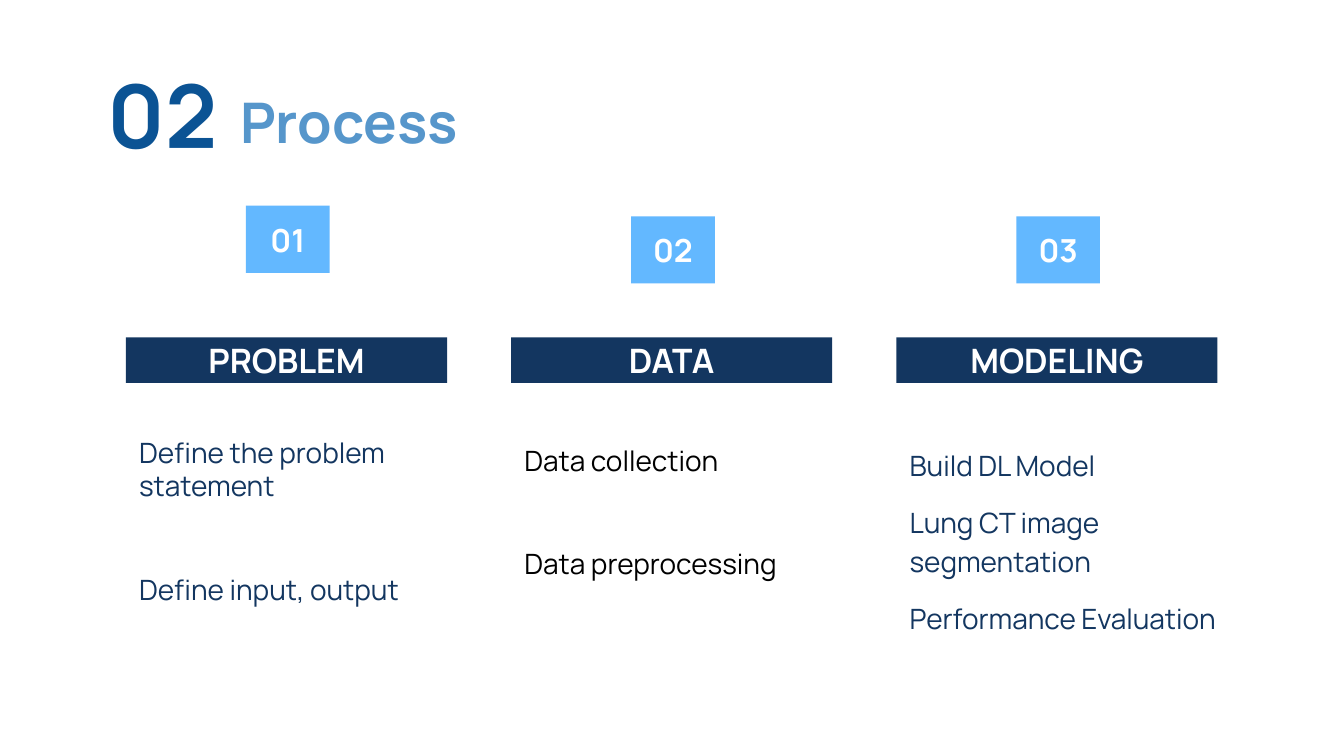
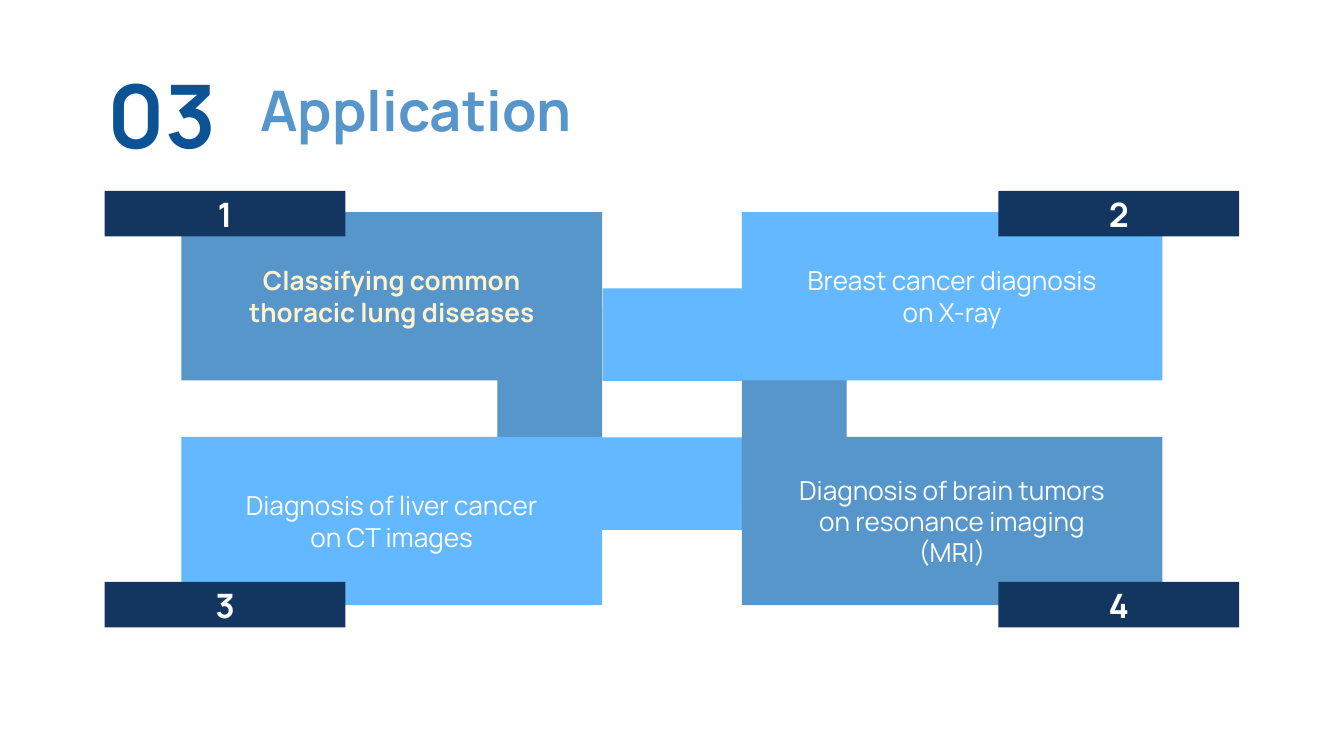
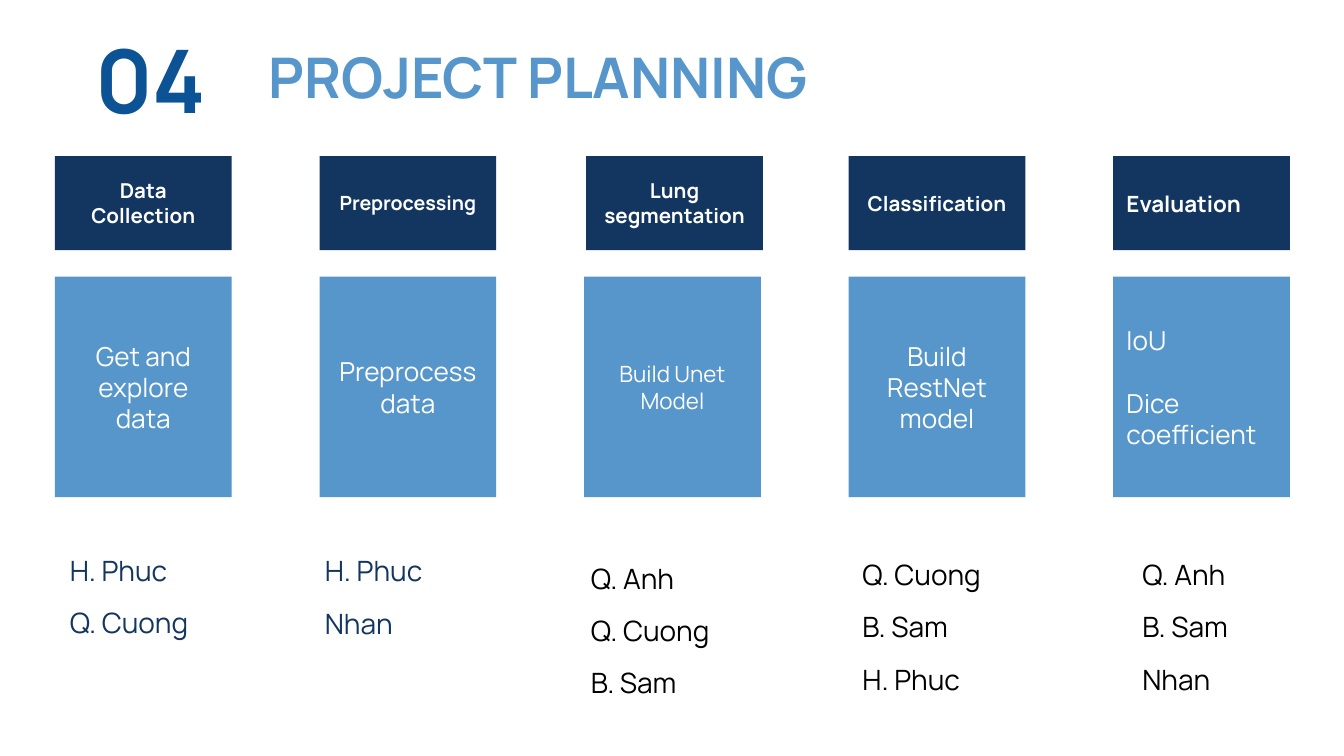
from dataclasses import dataclass

from pptx import Presentation
from pptx.dml.color import RGBColor
from pptx.enum.shapes import MSO_SHAPE
from pptx.enum.text import MSO_ANCHOR, MSO_AUTO_SIZE, PP_ALIGN
from pptx.util import Cm, Pt


@dataclass(frozen=True)
class Theme:
    """Colours, type sizes and font shared by all slides."""

    font: str = "Manrope"
    navy: str = "133660"
    royal: str = "0B5394"
    steel: str = "5696CB"
    sky: str = "63B8FF"
    cream: str = "FFF2CC"
    white: str = "FFFFFF"
    black: str = "000000"
    section_size: float = 47
    title_size: float = 30
    band_size: float = 18
    step_size: float = 17
    body_size: float = 15
    card_size: float = 14
    margin: float = 0.25


THEME = Theme()


@dataclass(frozen=True)
class Style:
    """Look of one piece of text."""

    size: float
    color: str
    bold: bool = False
    align: PP_ALIGN = PP_ALIGN.LEFT
    anchor: MSO_ANCHOR = MSO_ANCHOR.MIDDLE
    side: float = THEME.margin
    gap: float = 0
    leading: float = 1.0


SECTION = Style(THEME.section_size, THEME.royal, bold=True)
TITLE = Style(THEME.title_size, THEME.steel, bold=True)
BAND = Style(THEME.band_size, THEME.white, bold=True, align=PP_ALIGN.CENTER)
STEP = Style(THEME.step_size, THEME.white, bold=True, align=PP_ALIGN.CENTER)


def body_style(color, gap, leading=1.0):
    """Return the style of a top-anchored list."""
    return Style(THEME.body_size, color, anchor=MSO_ANCHOR.TOP, gap=gap, leading=leading)


def write(frame, lines, style):
    """Fill a text frame with one paragraph per line."""
    frame.word_wrap = True
    frame.auto_size = MSO_AUTO_SIZE.NONE
    frame.vertical_anchor = style.anchor
    frame.margin_left = frame.margin_right = Cm(style.side)
    frame.margin_top = frame.margin_bottom = Cm(THEME.margin)
    for index, line in enumerate(lines):
        paragraph = frame.add_paragraph() if index else frame.paragraphs[0]
        paragraph.alignment = style.align
        paragraph.line_spacing = style.leading
        paragraph.space_before = Pt(style.gap if index else 0)
        run = paragraph.add_run()
        run.text = line
        run.font.name = THEME.font
        run.font.size = Pt(style.size)
        run.font.bold = style.bold
        run.font.color.rgb = RGBColor.from_string(style.color)


def add_text(slide, box, lines, style):
    """Add a plain text box."""
    write(slide.shapes.add_textbox(*map(Cm, box)).text_frame, lines, style)


def add_block(slide, box, fill, lines=(), style=BAND):
    """Add a filled rectangle with optional text."""
    block = slide.shapes.add_shape(MSO_SHAPE.RECTANGLE, *map(Cm, box))
    block.shadow.inherit = False
    block.fill.solid()
    block.fill.fore_color.rgb = RGBColor.from_string(fill)
    block.line.fill.background()
    write(block.text_frame, lines, style)


def add_section(deck, number, heading, number_at, heading_box):
    """Add a slide with its section number and heading."""
    slide = deck.slides.add_slide(deck.slide_layouts[5])
    title = slide.shapes.title
    title.left, title.top, title.width, title.height = map(Cm, heading_box)
    write(title.text_frame, [heading], TITLE)
    add_text(slide, (*number_at, 2.79, 2.51), [number], SECTION)
    return slide


def build_process(deck):
    """Build the three-column process slide."""
    slide = add_section(deck, "02", "Process", (1.78, 0.89), (4.29, 1.5, 19.13, 1.57))
    phases = [
        ("PROBLEM", 3.89, 7.98, 6.07, body_style(THEME.navy, 37.5),
         ["Define the problem statement", "Define input, output"]),
        ("DATA", 4.09, 8.13, 6.07, body_style(THEME.black, 37.5),
         ["Data collection", "Data preprocessing"]),
        ("MODELING", 4.09, 8.13, 7.42, body_style(THEME.navy, 10, 1.15),
         ["Build DL Model", "Lung CT image segmentation", "Performance Evaluation"]),
    ]
    for index, (phase, step_top, tasks_top, tasks_width, style, tasks) in enumerate(phases):
        left = 2.38 + 7.28 * index
        add_text(slide, (left, tasks_top, tasks_width, 1.73), tasks, style)
        add_block(slide, (left, 6.38, 6.07, 0.86), THEME.navy, [phase])
        add_block(slide, (left + 2.27, step_top, 1.58, 1.27), THEME.sky, [f"0{index + 1}"], STEP)


def build_application(deck):
    """Build the four linked application cards."""
    slide = add_section(deck, "03", "Application", (1.78, 0.89), (4.67, 1.27, 18.31, 1.57))
    links = [
        ((9.4, 5.79, 1.98, 2.82), THEME.steel),
        ((10.58, 8.27, 4.62, 1.75), THEME.sky),
        ((11.39, 5.45, 4.62, 1.75), THEME.sky),
        ((14.02, 7.04, 1.98, 2.51), THEME.steel),
    ]
    for box, fill in links:
        add_block(slide, box, fill)
    uses = [
        ("Classifying common thoracic lung diseases", THEME.steel, THEME.cream, True),
        ("Breast cancer diagnosis on X-ray", THEME.sky, THEME.white, False),
        ("Diagnosis of liver cancer on CT images", THEME.sky, THEME.white, False),
        ("Diagnosis of brain tumors on resonance imaging (MRI)", THEME.steel, THEME.white, False),
    ]
    for index, (use, fill, color, bold) in enumerate(uses):
        row, column = divmod(index, 2)
        style = Style(THEME.card_size, color, bold, PP_ALIGN.CENTER, side=1.02)
        add_block(slide, (3.43 + 10.59 * column, 4.01 + 4.25 * row, 7.95, 3.18), fill, [use], style)
        tag = (1.98 + 16.89 * column, 3.61 + 7.39 * row, 4.55, 0.86)
        add_block(slide, tag, THEME.navy, [str(index + 1)])


def build_planning(deck):
    """Build the five-stage project plan with its teams."""
    slide = add_section(deck, "04", "PROJECT PLANNING", (1.55, 0.23), (4.6, 0.66, 17.88, 1.57))
    slide.shapes.title.left = Cm(4.83)
    center, left_side = PP_ALIGN.CENTER, PP_ALIGN.LEFT
    stages = [
        ("Data Collection", 11, 0, ["Get and explore data"], 14, center,
         (1.07, 10.21), THEME.navy, ["H. Phuc", "Q. Cuong"]),
        ("Preprocessing", 10.5, 0, ["Preprocess data"], 14, center,
         (5.89, 10.22), THEME.navy, ["H. Phuc", "Nhan"]),
        ("Lung segmentation", 11, 0.04, ["Build Unet Model"], 12, center,
         (10.92, 10.36), THEME.black, ["Q. Anh", "Q. Cuong", "B. Sam"]),
        ("Classification", 11, 0, ["Build RestNet model"], 14, center,
         (16.05, 10.29), THEME.black, ["Q. Cuong", "B. Sam", "H. Phuc"]),
        ("Evaluation", 12, 0, ["IoU", "Dice coefficient"], 14, left_side,
         (21.34, 10.29), THEME.black, ["Q. Anh", "B. Sam", "Nhan"]),
    ]
    for index, stage in enumerate(stages):
        name, name_size, shift, work, work_size, align, team_at, team_color, team = stage
        left = 1.04 + 5 * index
        add_block(slide, (left + shift, 2.95, 3.34, 1.78), THEME.navy, [name],
                  Style(name_size, THEME.white, bold=True, align=align))
        add_block(slide, (left, 5.23, 3.34, 4.17), THEME.steel, work,
                  Style(work_size, THEME.white, align=align, gap=17))
        add_text(slide, (*team_at, 3.5, 1.73), team, body_style(team_color, 10))


def main():
    """Build and save the deck."""
    deck = Presentation()
    deck.slide_width, deck.slide_height = Cm(25.4), Cm(14.29)
    build_process(deck)
    build_application(deck)
    build_planning(deck)
    deck.save("out.pptx")


if __name__ == "__main__":
    main()
